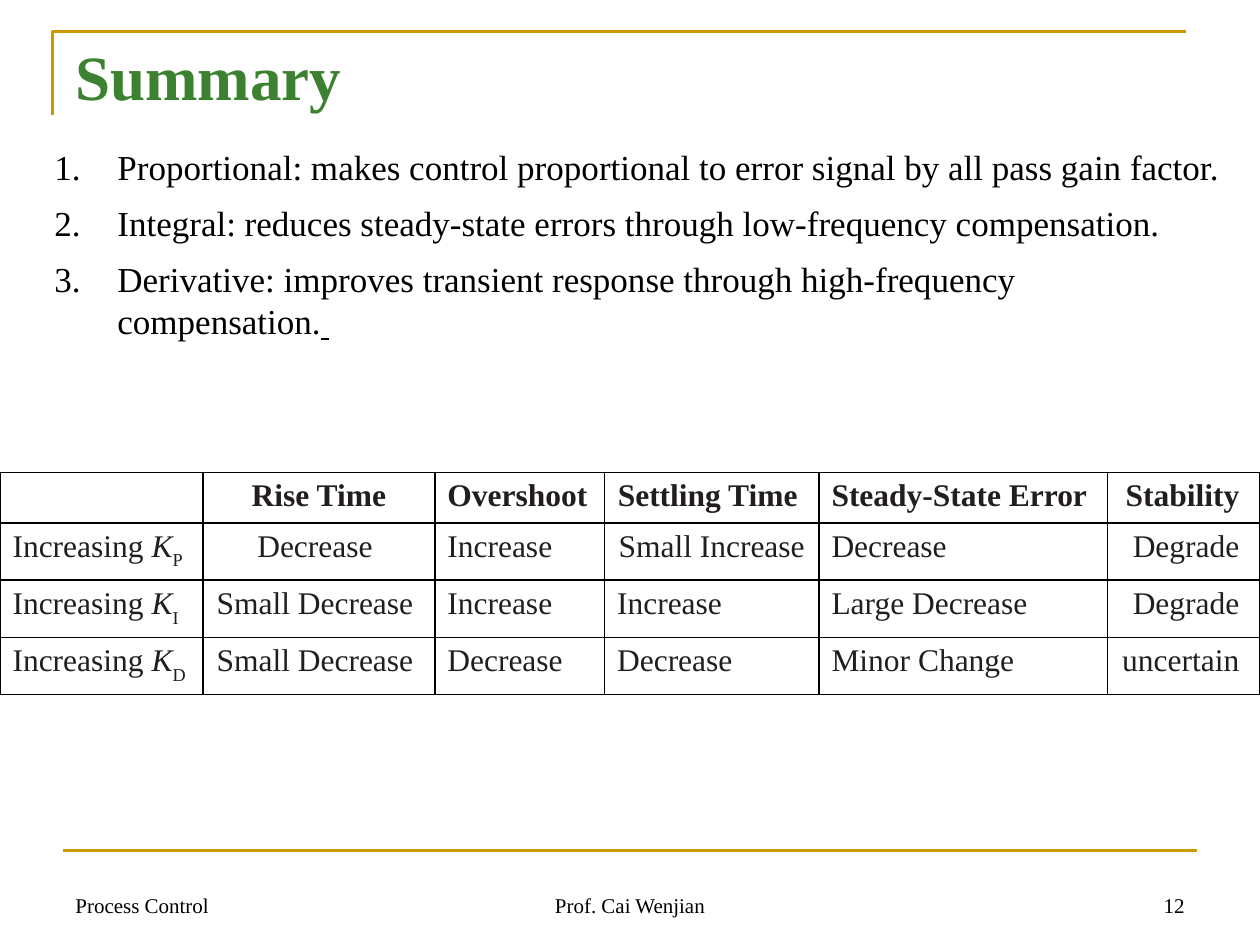
from dataclasses import dataclass

from lxml import etree
from pptx import Presentation
from pptx.dml.color import RGBColor
from pptx.enum.shapes import MSO_CONNECTOR
from pptx.enum.text import MSO_ANCHOR, PP_ALIGN
from pptx.oxml.ns import qn
from pptx.util import Pt

LEFT, CENTER, RIGHT = PP_ALIGN.LEFT, PP_ALIGN.CENTER, PP_ALIGN.RIGHT
TOP, MIDDLE, BOTTOM = MSO_ANCHOR.TOP, MSO_ANCHOR.MIDDLE, MSO_ANCHOR.BOTTOM
STRAIGHT = MSO_CONNECTOR.STRAIGHT

FONT = "Times New Roman"
COLORS = {"rule": "CC9900", "title": "3B812F", "text": "000000",
          "table": "221E1F", "border": "000000"}


@dataclass
class TextBox:
    text: str
    left: float
    top: float
    width: float
    height: float
    size: float = 12
    color: str = "text"
    bold: bool = False
    align: PP_ALIGN = LEFT
    anchor: MSO_ANCHOR = BOTTOM


BOXES = [
    TextBox("Process Control", 36, 492, 168, 36),
    TextBox("Prof. Cai Wenjian", 246, 492, 228, 36, align=CENTER),
    TextBox("12", 516, 492, 168, 36, align=RIGHT),
    TextBox("Summary", 36, 18, 600, 50.4, 36, "title", True, anchor=TOP),
]
SUMMARY_POINTS = [
    "Proportional: makes control proportional to error signal by all pass gain factor.",
    "Integral: reduces steady-state errors through low-frequency compensation.",
    "Derivative: improves transient response through high-frequency compensation.",
]
COLUMN_WIDTHS = [116, 132.5, 97, 122.5, 165, 87]
COLUMN_ALIGNS = [LEFT, CENTER, LEFT, LEFT, LEFT, RIGHT]
SETTLING_COLUMN, CENTERED_SETTLING_ROWS = 3, 2
HEADERS = ["", "Rise Time", "Overshoot", "Settling Time ", "Steady-State Error", "Stability "]
GAIN_EFFECTS = {
    "P": ["Decrease ", "Increase", "Small Increase ", "Decrease", "Degrade "],
    "I": ["Small Decrease ", "Increase", "Increase", "Large Decrease", "Degrade "],
    "D": ["Small Decrease ", "Decrease", "Decrease", "Minor Change", "uncertain "],
}


def add_text(paragraph, text: str, *, size: float, color: str = "text", bold: bool = False,
             italic: bool = False, underline: bool = False, baseline: int = 0) -> None:
    run = paragraph.add_run()
    run.text = text
    font = run.font
    font.name, font.size, font.bold = FONT, Pt(size), bold
    font.italic, font.underline = italic, underline
    font.color.rgb = RGBColor.from_string(COLORS[color])
    if baseline:
        run._r.get_or_add_rPr().set("baseline", str(baseline * 1000))


def add_frame(slide, box: TextBox):
    shape = slide.shapes.add_textbox(Pt(box.left), Pt(box.top), Pt(box.width), Pt(box.height))
    frame = shape.text_frame
    frame.word_wrap = True
    frame.vertical_anchor = box.anchor
    if box.text:
        paragraph = frame.paragraphs[0]
        paragraph.alignment = box.align
        add_text(paragraph, box.text, size=box.size, color=box.color, bold=box.bold)
    return frame


def style_rule(shape) -> None:
    shape.line.color.rgb = RGBColor.from_string(COLORS["rule"])
    shape.line.width = Pt(1.5)


def add_rules(slide) -> None:
    builder = slide.shapes.build_freeform(Pt(30), Pt(66), scale=1.0)
    builder.add_line_segments([(Pt(30), Pt(18)), (Pt(678), Pt(18))], close=False)
    corner = builder.convert_to_shape()
    corner.shadow.inherit = False
    corner.fill.background()
    style_rule(corner)
    footer_rule = slide.shapes.add_connector(STRAIGHT, Pt(36), Pt(486), Pt(684), Pt(486))
    style_rule(footer_rule)
    etree.SubElement(footer_rule._element.spPr, qn("a:effectLst"))


def add_summary(slide) -> None:
    frame = add_frame(slide, TextBox("", 24, 90, 684, 98.64, anchor=MIDDLE))
    for index, point in enumerate(SUMMARY_POINTS):
        paragraph = frame.add_paragraph() if index else frame.paragraphs[0]
        paragraph.space_after = Pt(8)
        add_text(paragraph, point, size=20)
        properties = paragraph._p.get_or_add_pPr()
        properties.set("marL", str(Pt(36)))
        properties.set("indent", str(Pt(-36)))
        etree.SubElement(properties, qn("a:buFont"), typeface=FONT)
        etree.SubElement(properties, qn("a:buAutoNum"), type="arabicPeriod")
    add_text(paragraph, " ", size=20, underline=True)


def add_borders(cell) -> None:
    properties = cell._tc.get_or_add_tcPr()
    for index, side in enumerate(("lnL", "lnR", "lnT", "lnB")):
        line = etree.Element(qn(f"a:{side}"), w=str(Pt(1)))
        fill = etree.SubElement(line, qn("a:solidFill"))
        etree.SubElement(fill, qn("a:srgbClr"), val=COLORS["border"])
        properties.insert(index, line)


def add_effects_table(slide) -> None:
    rows = [HEADERS] + [[gain, *effects] for gain, effects in GAIN_EFFECTS.items()]
    table = slide.shapes.add_table(len(rows), len(HEADERS), 0, Pt(270), Pt(720),
                                   Pt(28.8 * len(rows))).table
    table.first_row = table.horz_banding = False
    for column, width in zip(table.columns, COLUMN_WIDTHS):
        column.width = Pt(width)
    for row_index, row in enumerate(rows):
        for column_index, text in enumerate(row):
            cell = table.cell(row_index, column_index)
            cell.fill.background()
            add_borders(cell)
            paragraph = cell.text_frame.paragraphs[0]
            centered = column_index == SETTLING_COLUMN and row_index < CENTERED_SETTLING_ROWS
            paragraph.alignment = CENTER if centered else COLUMN_ALIGNS[column_index]
            if row_index and not column_index:
                add_text(paragraph, "Increasing ", size=18, color="table")
                add_text(paragraph, "K", size=18, color="table", italic=True)
                add_text(paragraph, text, size=18, color="table", baseline=-30)
            elif text:
                add_text(paragraph, text, size=18, color="table", bold=row_index == 0)


def main() -> None:
    presentation = Presentation()
    presentation.slide_width, presentation.slide_height = Pt(720), Pt(540)
    slide = presentation.slides.add_slide(presentation.slide_layouts[6])
    # Frame rules
    add_rules(slide)
    # Footer and title
    for box in BOXES:
        add_frame(slide, box)
    # Numbered list and comparison table
    add_summary(slide)
    add_effects_table(slide)
    presentation.save("out.pptx")


if __name__ == "__main__":
    main()
